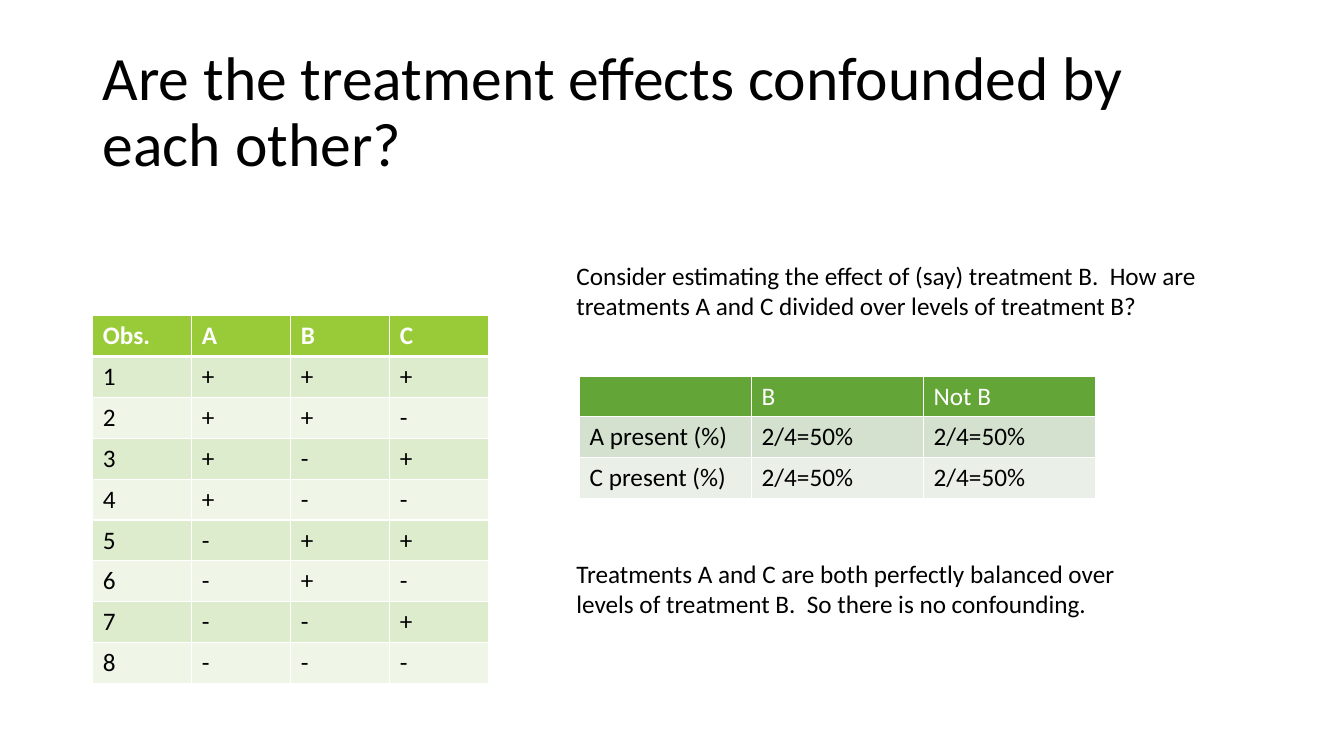
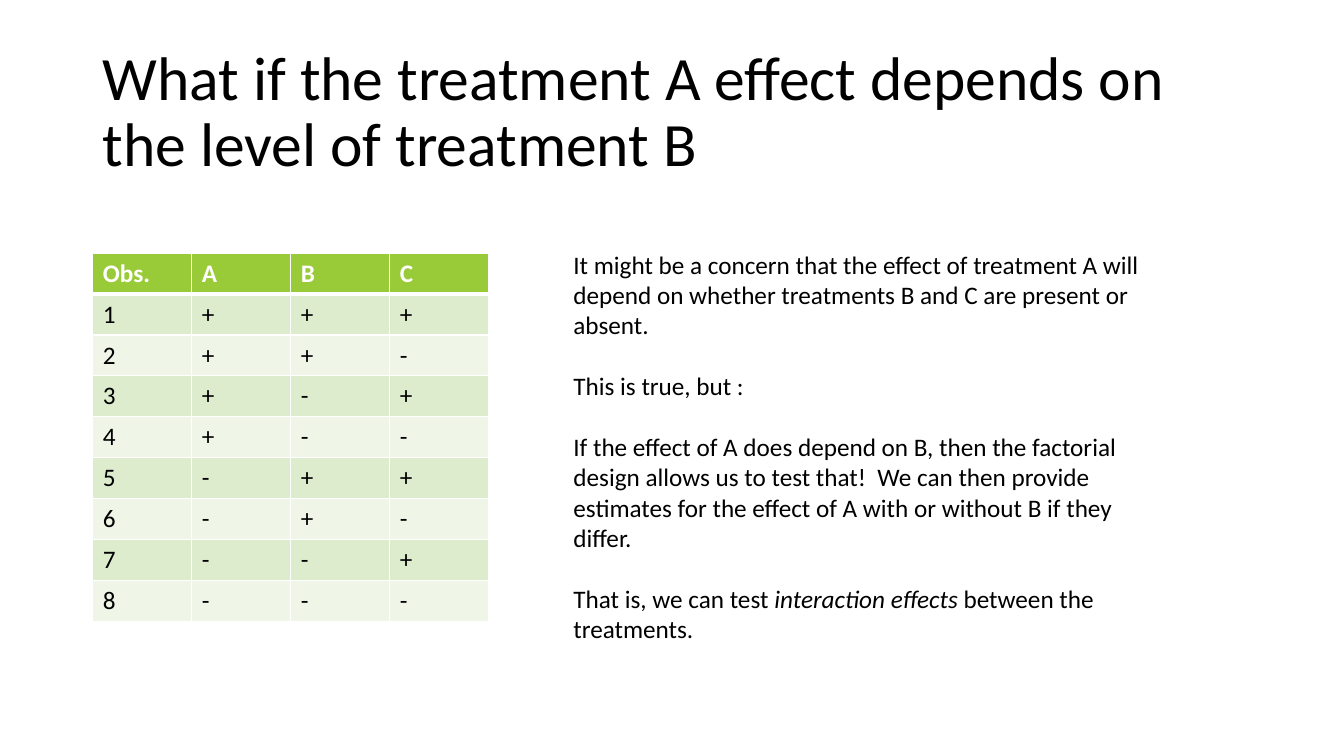
import itertools

import pptx
import pptx.dml.color
import pptx.enum.text
import pptx.oxml
import pptx.oxml.ns
import pptx.util

THEME = {
    "ink": "000000",
    "paper": "FFFFFF",
    "lime": ("99CB38", "DEECCE", "EFF6E8"),  # head, odd rows, even rows
    "green": ("63A537", "D3E1CE", "EAF0E8"),
    "title": {"name": "Calibri", "size": pptx.util.Pt(44)},
    "body": {"name": "Calibri", "size": pptx.util.Pt(18)},
    "gap": pptx.util.Pt(22),
    "thin": 1,
    "thick": 3,
}

# Shares of the slide's size, in percent
LEFT = 6.9
ROW = 5.41
SIGNS = [("Obs.", "A", "B", "C")] + [
    (str(num), *signs)
    for num, signs in enumerate(itertools.product("+-", repeat=3), 1)
]
SPLIT = [
    ("", "B", "Not B"),
    ("A present (%)", "2/4=50%", "2/4=50%"),
    ("C present (%)", "2/4=50%", "2/4=50%"),
]


def tint(code):
    return pptx.dml.color.RGBColor.from_string(code)


def write(para, text, style, color, **extra):
    """Add one run of text to a paragraph."""
    run = para.add_run()
    run.text = text
    for key, value in {**style, **extra}.items():
        setattr(run.font, key, value)
    run.font.color.rgb = tint(color)


def edge(cell, side, width):
    """Draw one cell border; borders must come before the cell's fill."""
    line = pptx.oxml.parse_xml(
        f'<a:ln{side} {pptx.oxml.ns.nsdecls("a")} w="{pptx.util.Pt(width)}">'
        f'<a:solidFill><a:srgbClr val="{THEME["paper"]}"/></a:solidFill>'
        f"</a:ln{side}>"
    )
    cell._tc.get_or_add_tcPr().append(line)


class Deck:
    def __init__(self, theme):
        self.theme = theme
        self.show = pptx.Presentation()
        self.show.slide_width = pptx.util.Inches(13.333)
        self.show.slide_height = pptx.util.Inches(7.5)
        self.slide = None

    def across(self, share):
        return round(self.show.slide_width * share / 100)

    def down(self, share):
        return round(self.show.slide_height * share / 100)

    def place(self, left, top, width, height):
        return (self.across(left), self.down(top),
                self.across(width), self.down(height))

    def frame(self, *box):
        frame = self.slide.shapes.add_textbox(*self.place(*box)).text_frame
        frame.word_wrap = True
        return frame

    def page(self, title):
        self.slide = self.show.slides.add_slide(self.show.slide_layouts[6])
        frame = self.frame(LEFT, 5.33, 86.25, 19.33)
        frame.vertical_anchor = pptx.enum.text.MSO_ANCHOR.MIDDLE
        para = frame.paragraphs[0]
        para.line_spacing = 0.9
        write(para, title, self.theme["title"], self.theme["ink"])

    def note(self, box, *paras):
        """Add body text; each paragraph is a list of runs, odd ones italic."""
        frame = self.frame(*box)
        for num, runs in enumerate(paras):
            para = frame.add_paragraph() if num else frame.paragraphs[0]
            if num:
                para.space_before = self.theme["gap"]
            for spot, text in enumerate(runs):
                write(para, text, self.theme["body"], self.theme["ink"],
                      italic=spot % 2 == 1)

    def table(self, left, top, wide, rows, shades, bold, rule):
        """Add a banded table with a rule of the given width below its head."""
        count = len(rows[0])
        box = self.place(left, top, wide * count, ROW * len(rows))
        grid = self.slide.shapes.add_table(len(rows), count, *box).table
        for col in grid.columns:
            col.width = self.across(wide)
        for num, row in enumerate(rows):
            grid.rows[num].height = self.down(ROW)
            head = num == 0
            shade = shades[0] if head else shades[1 + (num - 1) % 2]
            color = self.theme["paper" if head else "ink"]
            thin = self.theme["thin"]
            widths = {"L": thin, "R": thin,
                      "T": rule if num == 1 else thin,
                      "B": rule if head else thin}
            for spot, text in enumerate(row):
                cell = grid.cell(num, spot)
                for side, width in widths.items():
                    edge(cell, side, width)
                cell.fill.solid()
                cell.fill.fore_color.rgb = tint(shade)
                if text:
                    write(cell.text_frame.paragraphs[0], text,
                          self.theme["body"], color, bold=head and bold)

    def signs(self, top):
        """Add the table of all treatment combinations."""
        self.table(LEFT, top, 7.37, SIGNS, self.theme["lime"],
                   True, self.theme["thick"])


def main():
    deck = Deck(THEME)

    deck.page("Are the treatment effects confounded by each other?")
    deck.signs(41.75)
    deck.note((42.15, 33.73, 49.13, 9.47), [
        "Consider estimating the effect of (say) treatment B.  How are "
        "treatments A and C divided over levels of treatment B?"])
    deck.table(43.13, 49.73, 12.8, SPLIT, THEME["green"],
               False, THEME["thin"])
    deck.note((42.15, 73.2, 45.15, 9.47), [
        "Treatments A and C are both perfectly balanced over levels of "
        "treatment B.  So there is no confounding."])

    deck.page("What if the treatment A effect depends on the level of "
              "treatment B")
    deck.signs(33.5)
    deck.note(
        (41.93, 32.27, 45.15, 53.87),
        ["It might be a concern that the effect of treatment A will depend "
         "on whether treatments B and C are present or absent."],
        ["This is true, but :"],
        ["If the effect of A does depend on B, then the factorial design "
         "allows us to test that!  We can then provide estimates for the "
         "effect of A with or without B if they differ."],
        ["That is, we can test ", "interaction effects ",
         "between the treatments."])

    deck.show.save("out.pptx")


if __name__ == "__main__":
    main()
